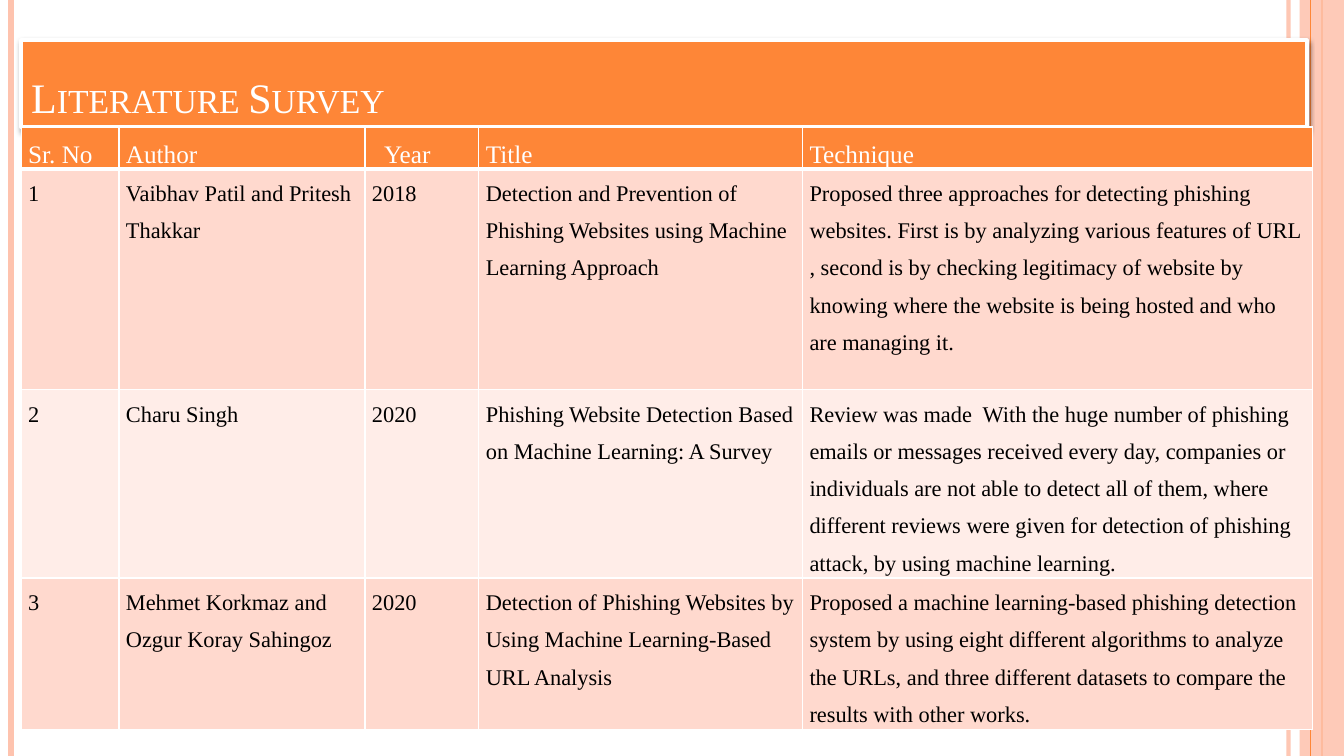
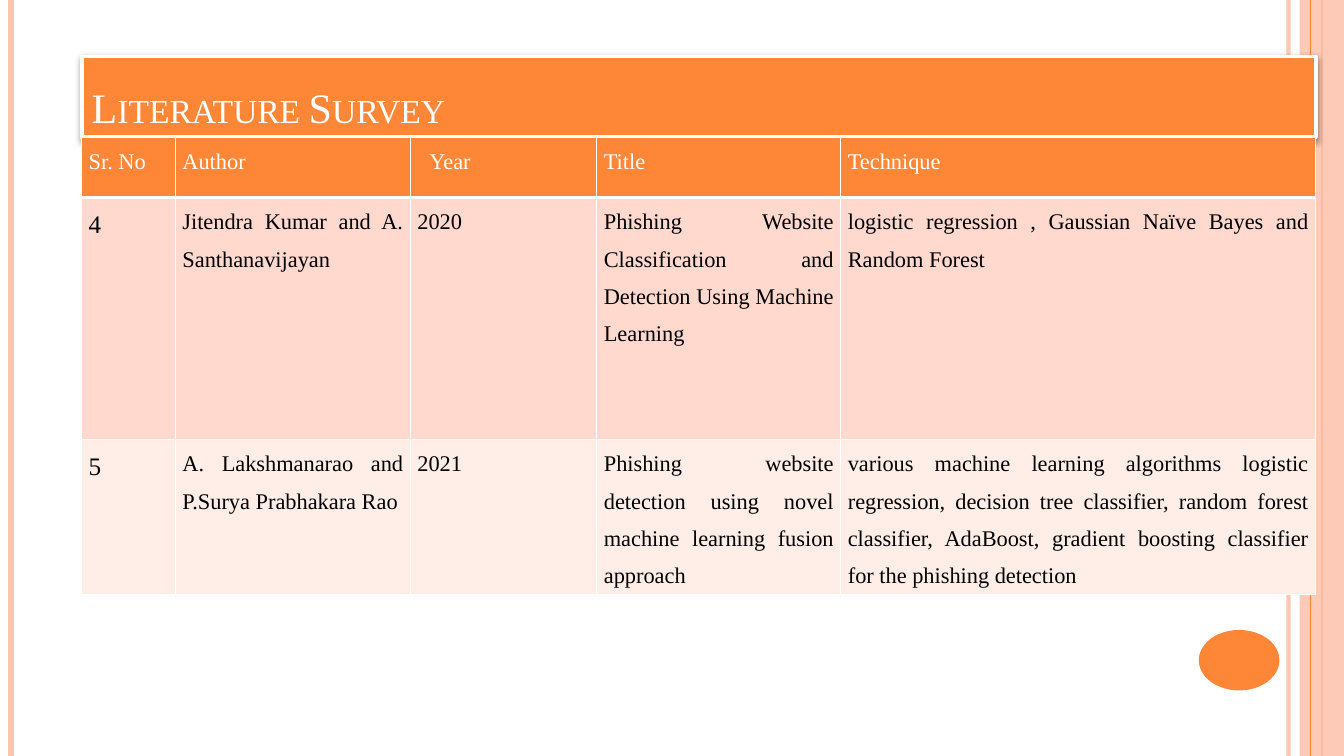
from dataclasses import dataclass

from lxml import etree
from pptx import Presentation
from pptx.dml.color import RGBColor
from pptx.enum.shapes import MSO_CONNECTOR, MSO_SHAPE
from pptx.enum.text import MSO_ANCHOR, MSO_AUTO_SIZE, PP_ALIGN
from pptx.oxml.ns import qn
from pptx.util import Inches, Pt

STRAIGHT = MSO_CONNECTOR.STRAIGHT
RECTANGLE, OVAL = MSO_SHAPE.RECTANGLE, MSO_SHAPE.OVAL
LEFT, JUSTIFY = PP_ALIGN.LEFT, PP_ALIGN.JUSTIFY
BOTTOM, NO_AUTOFIT = MSO_ANCHOR.BOTTOM, MSO_AUTO_SIZE.NONE


@dataclass(frozen=True)
class Theme:
    font: str = "Times New Roman"
    orange: str = "FE8637"
    peach: str = "FEC3AE"
    bands: tuple = ("FFD9CE", "FFEDE8")
    white: str = "FFFFFF"
    black: str = "000000"
    title_size: int = 30
    large: int = 18
    body: int = 16


theme = Theme()


def add_xml(parent, tag, **attributes):
    """Append one DrawingML element and return it."""
    return etree.SubElement(parent, qn(tag), attributes)


def write(frame, text, size, color, align=LEFT, spacing=None, small_caps=False):
    """Put one formatted paragraph into a text frame."""
    para = frame.paragraphs[0]
    para.alignment = align
    para.line_spacing = spacing
    span = para.add_run()
    span.text = text
    span.font.name = theme.font
    span.font.size = Pt(size)
    span.font.color.rgb = RGBColor.from_string(color)
    if small_caps:
        span.font._element.set("cap", "small")


# Content
headers = ["Sr. No", "Author", "Year", "Title", "Technique"]
surveys = [
    dict(
        left=0.21, title_top=0.4, title_width=12.75, title_height=0.86,
        columns=[0.97, 2.44, 1.13, 3.21, 5.06], heights=[0.37, 2.19, 1.87, 1.5],
        header_size=theme.large, number_size=theme.body, align=LEFT,
        rows=[
            ["1", "Vaibhav Patil and Pritesh Thakkar", "2018",
             "Detection and Prevention of Phishing Websites using Machine "
             "Learning Approach",
             "Proposed three approaches for detecting phishing websites. First "
             "is by analyzing various features of URL , second is by checking "
             "legitimacy of website by knowing where the website is being "
             "hosted and who are managing it."],
            ["2", "Charu Singh", "2020",
             "Phishing Website Detection Based on Machine Learning: A Survey",
             "Review was made  With the huge number of phishing emails or "
             "messages received every day, companies or individuals are not "
             "able to detect all of them, where different reviews were given "
             "for detection of phishing attack, by using machine learning."],
            ["3", "Mehmet Korkmaz and Ozgur Koray Sahingoz", "2020",
             "Detection of Phishing Websites by Using Machine Learning-Based "
             "URL Analysis",
             "Proposed a machine learning-based phishing detection system by "
             "using eight different algorithms to analyze the URLs, and three "
             "different datasets to compare the results with other works."],
        ],
    ),
    dict(
        left=0.81, title_top=0.56, title_width=12.24, title_height=0.8,
        columns=[0.93, 2.33, 1.85, 2.42, 4.71], heights=[0.6, 2.4, 1.54],
        header_size=theme.body, number_size=theme.large, align=JUSTIFY,
        rows=[
            ["4", "Jitendra Kumar and A. Santhanavijayan", "2020",
             "Phishing Website Classification and Detection Using Machine "
             "Learning",
             "logistic regression , Gaussian Naïve Bayes and Random Forest"],
            ["5", "A. Lakshmanarao and P.Surya Prabhakara Rao", "2021",
             "Phishing website detection using novel machine learning fusion "
             "approach",
             "various machine learning algorithms logistic regression, decision "
             "tree classifier, random forest classifier, AdaBoost, gradient "
             "boosting classifier for the phishing detection"],
        ],
    ),
]

deck = Presentation()
deck.slide_width, deck.slide_height = Inches(13.33), Inches(7.5)
layout = deck.slide_layouts[5]
pages = [deck.slides.add_slide(layout) for survey in surveys]

# Side stripes and the page dot, drawn once and moved to the shared layout
decorations = [
    ("line", 12.78, theme.peach, 3, 93),
    ("line", 0.11, theme.peach, 4.5, 100),
    ("line", 13.11, theme.orange, 1.5, 100),
    (RECTANGLE, (12.89, 0, 0.44, 7.5), theme.peach, 0, 87),
    ("line", 13, theme.orange, 0.75, 100),
    (OVAL, (11.89, 6.25, 0.8, 0.6), theme.orange, 0, 100),
]
for kind, place, color, width, opacity in decorations:
    shapes = pages[0].shapes
    if kind == "line":
        item = shapes.add_connector(
            STRAIGHT, Inches(place), 0, Inches(place), deck.slide_height)
        item.line.width = Pt(width)
        paint = item.line.fill
    else:
        item = shapes.add_shape(kind, *map(Inches, place))
        item.line.fill.background()
        paint = item.fill
    paint.solid()
    paint.fore_color.rgb = RGBColor.from_string(color)
    properties = item._element.spPr
    if opacity < 100:
        tone = next(properties.iter(qn("a:srgbClr")))
        add_xml(tone, "a:alpha", val=str(opacity * 1000))
    add_xml(properties, "a:effectLst")
    layout.shapes._spTree.append(item._element)

for page, survey in zip(pages, surveys):
    # Title band
    title = page.shapes.title
    title.left, title.top = Inches(survey["left"]), Inches(survey["title_top"])
    title.width = Inches(survey["title_width"])
    title.height = Inches(survey["title_height"])
    title.fill.solid()
    title.fill.fore_color.rgb = RGBColor.from_string(theme.orange)
    title.line.color.rgb = RGBColor.from_string(theme.white)
    title.line.width = Pt(2.75)
    effects = add_xml(title._element.spPr, "a:effectLst")
    shadow = add_xml(effects, "a:outerShdw", blurRad=str(Pt(4)), dist=str(Pt(2)),
                     dir="5400000", algn="ctr", rotWithShape="0")
    tone = add_xml(shadow, "a:srgbClr", val=theme.black)
    add_xml(tone, "a:alpha", val="40000")
    title.text_frame.auto_size = NO_AUTOFIT
    title.text_frame.vertical_anchor = BOTTOM
    write(title.text_frame, "Literature Survey", theme.title_size, theme.white,
          small_caps=True)

    # Survey table, directly under the title band
    columns, heights = survey["columns"], survey["heights"]
    table = page.shapes.add_table(
        len(heights), len(columns), title.left, title.top + title.height,
        Inches(sum(columns)), Inches(sum(heights))).table
    for column, width in zip(table.columns, columns):
        column.width = Inches(width)
    for row, height in zip(table.rows, heights):
        row.height = Inches(height)

    for r, texts in enumerate([headers] + survey["rows"]):
        is_header = r == 0
        for c, text in enumerate(texts):
            cell = table.cell(r, c)
            cell.margin_left = cell.margin_right = Inches(0.07)
            cell.margin_top = cell.margin_bottom = 0
            if text == "Year":
                cell.margin_left = Inches(0.19)

            # White borders, with a thick rule below the header
            cell_properties = cell._tc.get_or_add_tcPr()
            for side in "LRTB":
                thick = (r, side) in [(0, "B"), (1, "T")]
                border = add_xml(cell_properties, f"a:ln{side}",
                                 w=str(Pt(3 if thick else 1)))
                add_xml(add_xml(border, "a:solidFill"), "a:srgbClr", val=theme.white)

            fill = theme.orange if is_header else theme.bands[(r - 1) % 2]
            cell.fill.solid()
            cell.fill.fore_color.rgb = RGBColor.from_string(fill)

            if is_header:
                size = survey["header_size"]
            else:
                size = survey["number_size"] if c == 0 else theme.body
            write(cell.text_frame, text, size,
                  theme.white if is_header else theme.black,
                  align=JUSTIFY if is_header else survey["align"], spacing=1.5)

deck.save("out.pptx")
